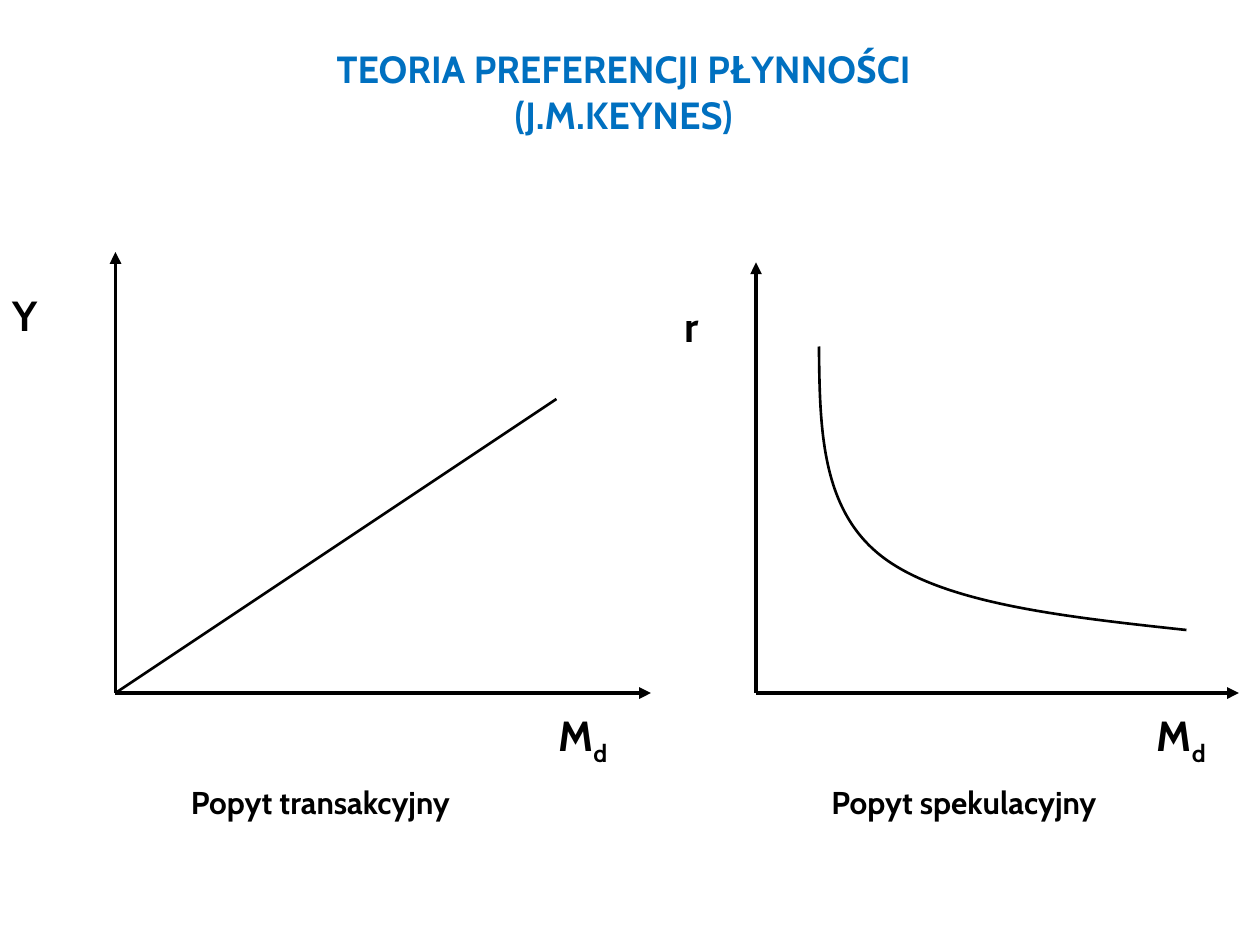
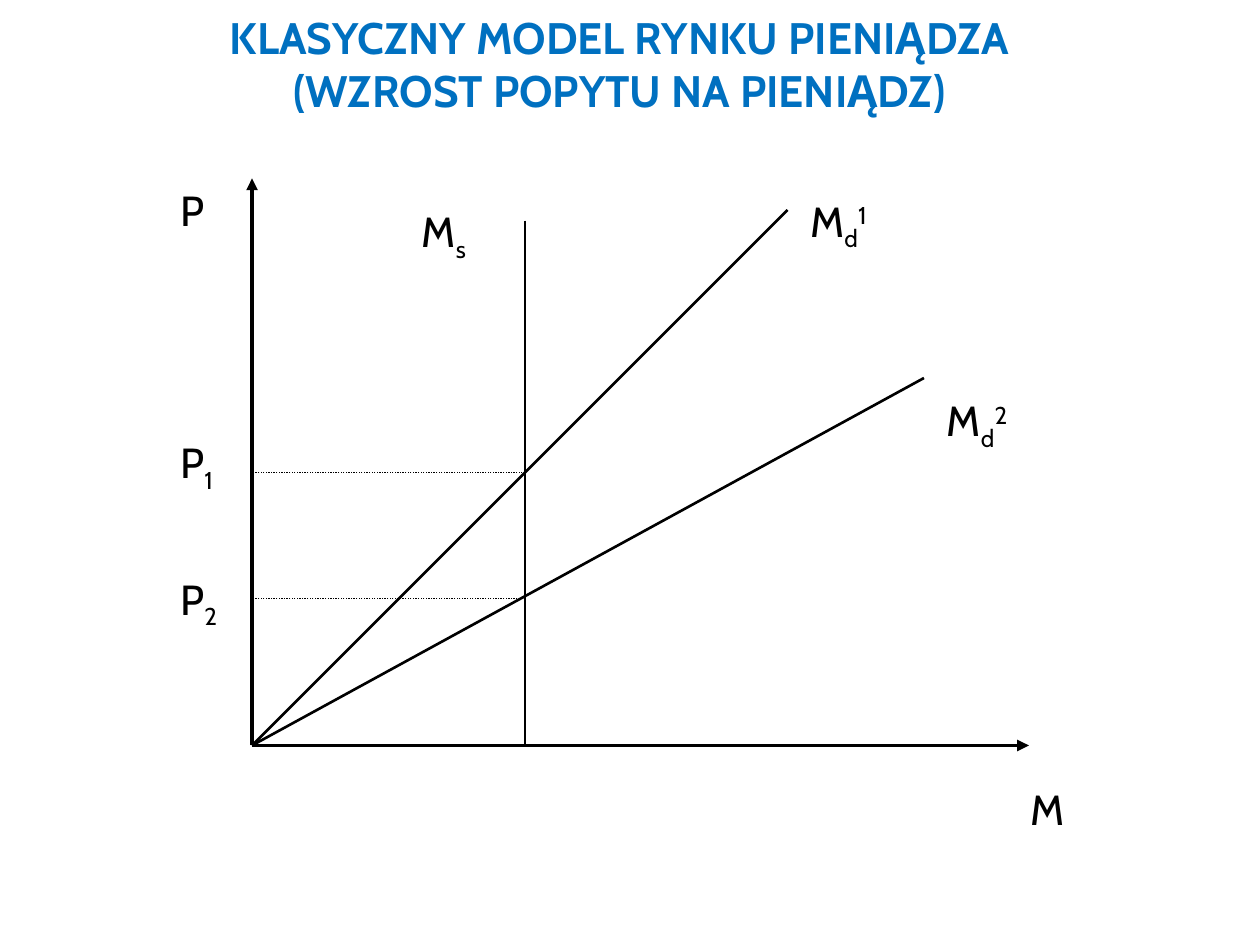
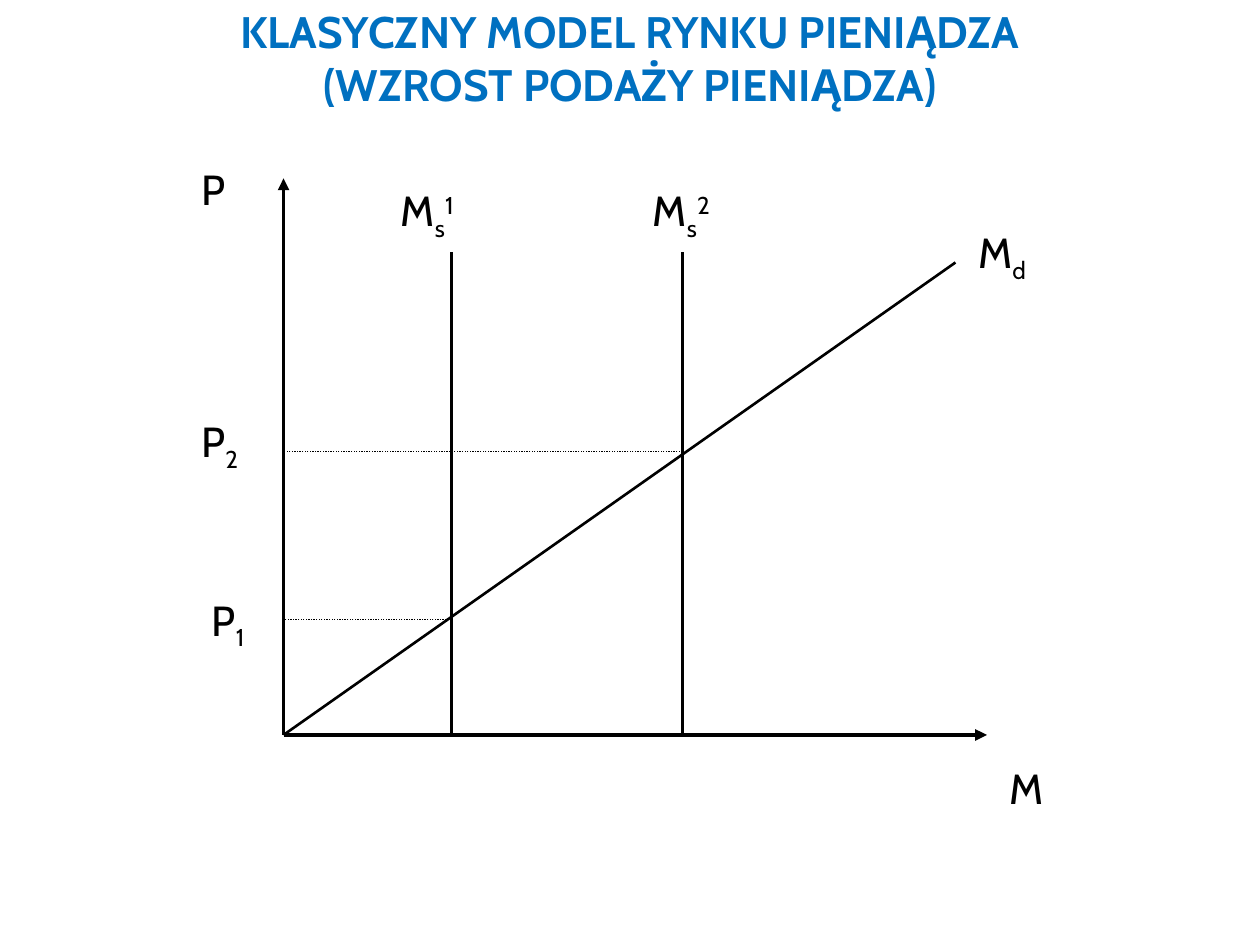
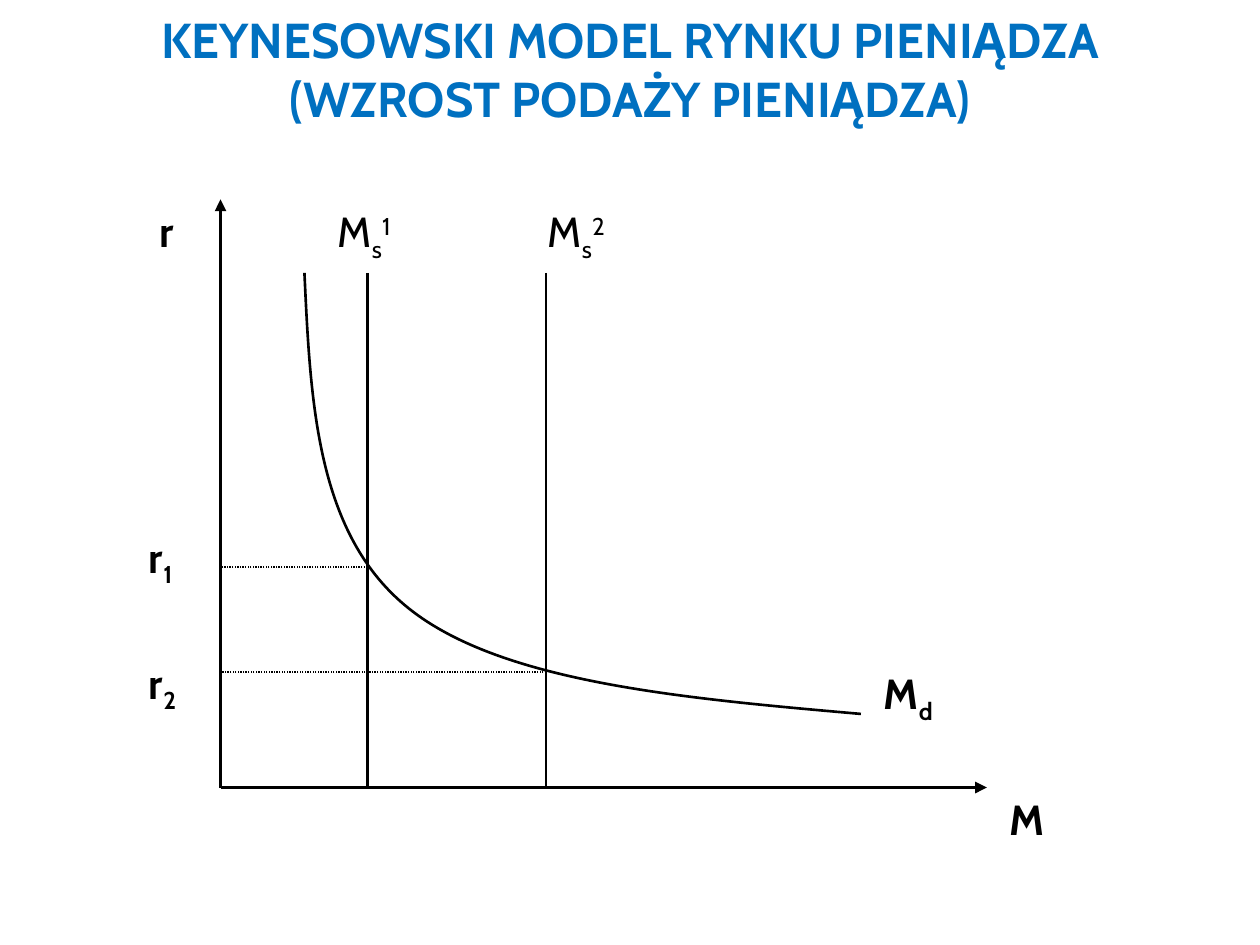
from dataclasses import dataclass
from typing import NamedTuple

from pptx import Presentation
from pptx.dml.color import RGBColor
from pptx.enum.dml import MSO_LINE
from pptx.enum.shapes import MSO_CONNECTOR
from pptx.enum.text import MSO_ANCHOR, MSO_AUTO_SIZE, PP_ALIGN
from pptx.oxml.ns import qn
from pptx.oxml.xmlchemy import OxmlElement
from pptx.shapes.connector import Connector
from pptx.util import Inches, Pt

STRAIGHT = MSO_CONNECTOR.STRAIGHT
DOTTED = MSO_LINE.ROUND_DOT
CENTER = PP_ALIGN.CENTER
MIDDLE = MSO_ANCHOR.MIDDLE
GROW = MSO_AUTO_SIZE.SHAPE_TO_FIT_TEXT

# The page is a grid of 120 columns and 90 rows of square cells
WIDTH, HEIGHT = Inches(10), Inches(7.5)
COLUMNS, ROWS = 120, 90
BLANK_LAYOUT = 6


@dataclass(frozen=True)
class Theme:
    font: str = "Cabin"
    title_color: RGBColor = RGBColor(0x00, 0x70, 0xC0)
    ink: RGBColor = RGBColor(0, 0, 0)
    label_size: float = 24
    caption_size: float = 18
    title_small: float = 21.6
    title_medium: float = 25.2
    title_large: float = 28
    axis_width: float = 2.25
    curve_width: float = 1.5
    guide_width: float = 0.75
    subscript: int = -25000
    superscript: int = 30000


THEME = Theme()


class Point(NamedTuple):
    column: float
    row: float


class Title(NamedTuple):
    left: float
    top: float
    height: float
    size: float
    text: str
    width: float = 102


class Label(NamedTuple):
    left: float
    top: float
    width: float
    text: str
    sub: str = ""
    sup: str = ""
    bold: bool = False
    size: float = THEME.label_size


class Curve(NamedTuple):
    start: Point
    middle: Point
    end: Point


@dataclass(frozen=True)
class Graph:
    origin: Point
    axis_top: float
    axis_right: float
    labels: tuple[Label, ...]
    rays: tuple[Point, ...] = ()      # ends of lines from the origin
    supplies: tuple[Point, ...] = ()  # tops of vertical lines
    guides: tuple[Point, ...] = ()    # dotted lines to the vertical axis
    curve: Curve | None = None


@dataclass(frozen=True)
class Page:
    title: Title
    graphs: tuple[Graph, ...]


def across(columns: float) -> int:
    return round(WIDTH * columns / COLUMNS)


def down(rows: float) -> int:
    return round(HEIGHT * rows / ROWS)


def blend(first: Point, second: Point, share: float = 0.5) -> Point:
    return Point(*(a + (b - a) * share for a, b in zip(first, second)))


def style_span(span, size: float, bold: bool, color: RGBColor) -> None:
    span.font.name = THEME.font
    span.font.size = Pt(size)
    span.font.bold = bold
    span.font.color.rgb = color


def draw_title(shapes, title: Title) -> None:
    box = shapes.add_textbox(across(title.left), down(title.top),
                             across(title.width), down(title.height))
    frame = box.text_frame
    frame.word_wrap = True
    frame.vertical_anchor = MIDDLE
    para = frame.paragraphs[0]
    para.text = title.text
    para.alignment = CENTER
    for span in para.runs:
        style_span(span, title.size, True, THEME.title_color)


def draw_label(shapes, label: Label) -> None:
    box = shapes.add_textbox(across(label.left), down(label.top),
                             across(label.width), down(label.size / 4))
    frame = box.text_frame
    frame.word_wrap = True
    frame.auto_size = GROW
    para = frame.paragraphs[0]
    para.text = label.text
    for text, baseline in ((label.sub, THEME.subscript), (label.sup, THEME.superscript)):
        if text:
            span = para.add_run()
            span.text = text
            span._r.get_or_add_rPr().set("baseline", str(baseline))
    for span in para.runs:
        style_span(span, label.size, label.bold, THEME.ink)


def draw_line(shapes, start: Point, end: Point, width: float) -> Connector:
    line = shapes.add_connector(STRAIGHT, across(start.column), down(start.row),
                                across(end.column), down(end.row))
    line.line.color.rgb = THEME.ink
    line.line.width = Pt(width)
    line.element.spPr.append(OxmlElement("a:effectLst"))
    return line


def draw_axis(shapes, start: Point, end: Point) -> None:
    axis = draw_line(shapes, start, end, THEME.axis_width)
    arrow = OxmlElement("a:tailEnd")
    arrow.set("type", "triangle")
    axis.line._get_or_add_ln().append(arrow)


def draw_curve(shapes, curve: Curve) -> None:
    # The tangent at the middle runs parallel to the chord
    start, middle, end = curve
    reach = Point((end.column - start.column) / 6, (end.row - start.row) / 6)
    before = Point(middle.column - reach.column, middle.row - reach.row)
    after = Point(middle.column + reach.column, middle.row + reach.row)
    points = (blend(start, before), before, middle, after, blend(after, end), end)

    builder = shapes.build_freeform(across(start.column), down(start.row))
    builder.add_line_segments([(across(p.column), down(p.row)) for p in points], close=False)
    shape = builder.convert_to_shape()
    shape.shadow.inherit = False
    shape.fill.background()
    shape.line.color.rgb = THEME.ink
    shape.line.width = Pt(THEME.curve_width)

    # Every three straight segments become one Bézier segment
    segments = list(shape.element.iter(qn("a:lnTo")))
    for first in range(0, len(segments), 3):
        cubic = OxmlElement("a:cubicBezTo")
        segments[first].addprevious(cubic)
        for segment in segments[first:first + 3]:
            cubic.append(segment[0])
            segment.getparent().remove(segment)


def draw_graph(shapes, graph: Graph) -> None:
    origin = graph.origin
    draw_axis(shapes, origin, Point(origin.column, graph.axis_top))
    draw_axis(shapes, origin, Point(graph.axis_right, origin.row))
    for end in graph.rays:
        draw_line(shapes, origin, end, THEME.curve_width)
    if graph.curve:
        draw_curve(shapes, graph.curve)
    for top in graph.supplies:
        draw_line(shapes, top, Point(top.column, origin.row), THEME.curve_width)
    for point in graph.guides:
        guide = draw_line(shapes, point, Point(origin.column, point.row), THEME.guide_width)
        guide.line.dash_style = DOTTED
    for label in graph.labels:
        draw_label(shapes, label)


# Liquidity preference: two graphs side by side
TRANSACTION = Graph(
    Point(11, 66), axis_top=24, axis_right=62,
    rays=(Point(53, 38),),
    labels=(
        Label(0, 27, 9, "Y", bold=True),
        Label(17, 74, 32, "Popyt transakcyjny", bold=True, size=THEME.caption_size),
        Label(52, 67, 11, "M", "d", bold=True),
    ))
SPECULATION = Graph(
    Point(72, 66), axis_top=25, axis_right=118,
    curve=Curve(Point(78, 33), Point(84, 53), Point(113, 60)),
    labels=(
        Label(78, 74, 36, "Popyt spekulacyjny", bold=True, size=THEME.caption_size),
        Label(64, 28, 7, "r", bold=True),
        Label(109, 67, 9, "M", "d", bold=True),
    ))

# Classical model: demand grows, then supply grows
DEMAND_GROWTH = Graph(
    Point(24, 71), axis_top=17, axis_right=98,
    rays=(Point(75, 20), Point(88, 36)),
    supplies=(Point(50, 21),),
    guides=(Point(50, 45), Point(50, 57)),
    labels=(
        Label(16, 17, 7, "P"),
        Label(97, 74, 6, "M"),
        Label(39, 19, 9, "M", "s"),
        Label(76, 18, 9, "M", "d", "1"),
        Label(89, 37, 10, "M", "d", "2"),
        Label(16, 41, 7, "P", "1"),
        Label(16, 54, 7, "P", "2"),
    ))
SUPPLY_GROWTH = Graph(
    Point(27, 70), axis_top=17, axis_right=94,
    rays=(Point(91, 25),),
    supplies=(Point(43, 24), Point(65, 24)),
    guides=(Point(43, 59), Point(65, 43)),
    labels=(
        Label(18, 15, 7, "P"),
        Label(95, 72, 8, "M"),
        Label(37, 17, 10, "M", "s", "1"),
        Label(61, 17, 10, "M", "s", "2"),
        Label(92, 21, 8, "M", "d"),
        Label(19, 56, 7, "P", "1"),
        Label(18, 39, 8, "P", "2"),
    ))

# Keynesian model: supply grows along the demand curve
KEYNESIAN_GROWTH = Graph(
    Point(21, 75), axis_top=19, axis_right=94,
    curve=Curve(Point(29, 26), Point(39, 58), Point(82, 68)),
    supplies=(Point(35, 26), Point(52, 26)),
    guides=(Point(35, 54), Point(52, 64)),
    labels=(
        Label(14, 19, 5, "r", bold=True),
        Label(95, 75, 6, "M", bold=True),
        Label(83, 63, 8, "M", "d", bold=True),
        Label(31, 19, 9, "M", "s", "1"),
        Label(51, 19, 11, "M", "s", "2"),
        Label(13, 50, 7, "r", "1", bold=True),
        Label(13, 62, 6, "r", "2", bold=True),
    ))

PAGES = (
    Page(Title(8.4, 4.7, 8, THEME.title_small,
               "TEORIA PREFERENCJI PŁYNNOŚCI\v(J.M.KEYNES)"),
         (TRANSACTION, SPECULATION)),
    Page(Title(8, 0, 12, THEME.title_medium,
               "KLASYCZNY MODEL RYNKU PIENIĄDZA\v(WZROST POPYTU NA PIENIĄDZ)"),
         (DEMAND_GROWTH,)),
    Page(Title(9, 0, 11, THEME.title_medium,
               "KLASYCZNY MODEL RYNKU PIENIĄDZA\v(WZROST PODAŻY PIENIĄDZA)"),
         (SUPPLY_GROWTH,)),
    Page(Title(9, 0, 13, THEME.title_large,
               "KEYNESOWSKI MODEL RYNKU PIENIĄDZA\v(WZROST PODAŻY PIENIĄDZA)"),
         (KEYNESIAN_GROWTH,)),
)


def main() -> None:
    deck = Presentation()
    deck.slide_width, deck.slide_height = WIDTH, HEIGHT
    for page in PAGES:
        shapes = deck.slides.add_slide(deck.slide_layouts[BLANK_LAYOUT]).shapes
        draw_title(shapes, page.title)
        for graph in page.graphs:
            # Graphs that share a page are grouped
            shared = len(page.graphs) > 1
            draw_graph(shapes.add_group_shape().shapes if shared else shapes, graph)
    deck.save("out.pptx")


if __name__ == "__main__":
    main()
